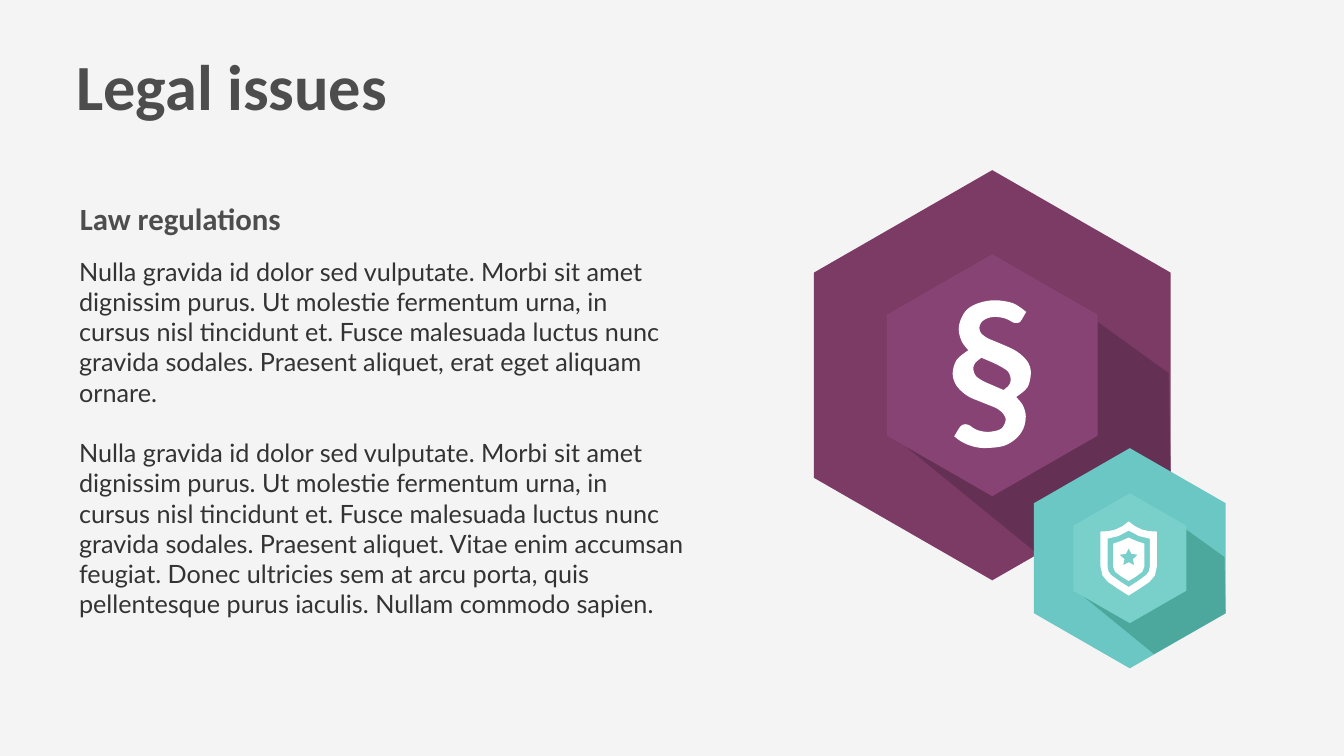
from dataclasses import dataclass

from pptx import Presentation
from pptx.dml.color import RGBColor as Rgb
from pptx.enum.text import MSO_ANCHOR as Anchor
from pptx.util import Pt


@dataclass(frozen=True)
class Theme:
    """Colours and type sizes of the slide."""
    background: str = "F4F4F4"
    heading: str = "4D4D4D"
    body: str = "333333"
    symbol: str = "FFFFFF"
    law_badge: tuple = ("7B3B65", "643053", "874374")
    shield_badge: tuple = ("6BC7C3", "4CA79C", "79D0CB")
    title_size: int = 92
    subtitle_size: int = 44
    body_size: int = 36


THEME = Theme()

TITLE = "Legal issues"
SUBTITLE = "Law regulations"
OPENING = ("Nulla gravida id dolor sed vulputate. Morbi sit amet dignissim purus. "
           "Ut molestie fermentum urna, in cursus nisl tincidunt et. "
           "Fusce malesuada luctus nunc gravida sodales. ")
BODY = [
    OPENING + "Praesent aliquet, erat eget aliquam ornare.",
    OPENING + "Praesent aliquet. Vitae enim accumsan feugiat. Donec ultricies sem at "
    "arcu porta, quis pellentesque purus iaculis. Nullam commodo sapien.",
]

HEXAGON = [(0, -1), (0.87, -0.5), (0.87, 0.5), (0, 1), (-0.87, 0.5), (-0.87, -0.5)]
LONG_SHADOW = [(0.5, -0.27), (0.86, -0.01), (0.87, 0.5), (0.22, 0.87),
               (-0.48, 0.3), (-0.01, 0.58), (0.5, 0.28)]

SECTION_RIM = [
    [(97.9, 28.8), (95, 31.7), (91.4, 32.4), (86.4, 31.7), (79.9, 28.1), (72, 25.2),
     (60.5, 23.8), (51.1, 25.2), (43.9, 28.8), (39.6, 33.8), (38.2, 40.3), (41, 47.5),
     (49.7, 54), (61.2, 59), (74.9, 64.8), (88.6, 71.3), (100.1, 79.9),
     (108.7, 90.7), (111.6, 105.1), (106.6, 124.6), (90.7, 138.2)],
    [(90.7, 138.2), (100.1, 149.8), (104.4, 165.6), (100.8, 183.6), (90, 198),
     (72.7, 208.1), (49.7, 211), (35.3, 210.2), (22.3, 206.6), (10.8, 200.9),
     (2.2, 194.4)],
    [(9.4, 182.2), (13, 178.6), (18, 177.1), (23.8, 178.6), (30.2, 182.9),
     (38.9, 186.5), (52.6, 187.9), (69.1, 183.6), (75.6, 171.4), (72, 162),
     (63.4, 154.8), (51.8, 149.8), (37.4, 144), (23.8, 138.2), (12.2, 129.6),
     (3.6, 118.8), (0, 103.7), (5.8, 85), (22.3, 71.3)],
    [(22.3, 71.3), (13, 59), (8.6, 41.8), (12.2, 25.9), (21.6, 12.2), (38.2, 3.6),
     (60.5, 0), (86.4, 4.3), (105.1, 16.6)],
]
SECTION_EYE = [
    [(41, 82.1), (32.4, 89.3), (29.5, 97.9), (33.1, 108), (43.2, 115.2),
     (57.6, 121.7), (72.7, 128.2)],
    [(72.7, 128.2), (80.6, 121), (82.8, 112.3), (79.2, 102.2), (69.1, 95),
     (56.2, 88.6), (41, 82.1)],
]

SHIELD_RIM = [(0, 0), (9, 6.8), (19.6, 11.8), (29, 13.8), (40.3, 14.4), (40.3, 64.1),
              (37.5, 77), (29.7, 86.3), (17, 95), (0, 105.8)]
SHIELD_GAP = [(0, 13), (14.9, 20.9), (30.2, 24.5), (30.2, 64.1), (29, 71),
              (25.2, 76.3), (13.3, 85), (0, 93.6)]
SHIELD_CORE = [(0, 23), (11.5, 28.1), (22.3, 31.7), (22.3, 64.8), (19.4, 72),
               (10, 79), (0, 85)]
STAR = [(0, 38.2), (4, 46.1), (13, 47.5), (6.1, 54), (7.9, 62.6), (0, 58.3)]


def assign(target, **formats):
    """Set each named format value on the target."""
    for name, value in formats.items():
        setattr(target, name, value)


def smooth(run, steps=4):
    """Return a dense curve through the points of a run."""
    padded = [run[0], *run, run[-1]]
    curve = [run[0]]
    for a, b, c, d in zip(padded, padded[1:], padded[2:], padded[3:]):
        for step in range(1, steps + 1):
            t = step / steps
            curve.append(tuple(
                q + t * ((r - p) + t * ((2 * p - 5 * q + 4 * r - s)
                                        + t * (3 * q - p - 3 * r + s))) / 2
                for p, q, r, s in zip(a, b, c, d)))
    return curve


def contour(runs):
    """Join smoothed runs into one closed contour."""
    return [point for run in runs for point in smooth(run)]


def mirrored(half):
    """Close a right half outline with its mirror image."""
    return half + [(-x, y) for x, y in half[-2:0:-1]]


def add_outline(slide, origin, contours, color, scale=1):
    """Draw closed contours around an origin as one filled shape."""
    left, top = origin
    placed = [[(Pt(left + x * scale), Pt(top + y * scale)) for x, y in points]
              for points in contours]
    builder = slide.shapes.build_freeform(*placed[0][0])
    builder.add_line_segments(placed[0][1:])
    for points in placed[1:]:
        builder.move_to(*points[0])
        builder.add_line_segments(points[1:])
    outline = builder.convert_to_shape()
    outline.shadow.inherit = False
    outline.fill.solid()
    outline.fill.fore_color.rgb = Rgb.from_string(color)
    outline.line.fill.background()


def add_badge(slide, center, radius, colors):
    """Draw a hexagon with a long shadow and a smaller hexagon on it."""
    base, shadow, face = colors
    add_outline(slide, center, [HEXAGON], base, radius)
    add_outline(slide, center, [LONG_SHADOW], shadow, radius)
    add_outline(slide, center, [HEXAGON], face, radius * 0.59)


def add_text(slide, box, paragraphs, size, color, font="Calibri", bold=False,
             inset=4, anchor=Anchor.MIDDLE):
    """Add wrapped text with one line of space between paragraphs."""
    frame = slide.shapes.add_textbox(*map(Pt, box)).text_frame
    margins = {f"margin_{side}": Pt(inset) for side in ("left", "top", "right", "bottom")}
    assign(frame, word_wrap=True, vertical_anchor=anchor, **margins)
    for index, wording in enumerate(paragraphs):
        paragraph = frame.add_paragraph() if index else frame.paragraphs[0]
        if index:
            paragraph.space_before = Pt(size * 1.2)
        run = paragraph.add_run()
        run.text = wording
        assign(run.font, name=font, size=Pt(size), bold=bold)
        run.font.color.rgb = Rgb.from_string(color)


def main():
    """Build and save the slide."""
    deck = Presentation()
    assign(deck, slide_width=Pt(1920), slide_height=Pt(1080))
    slide = deck.slides.add_slide(deck.slide_layouts[6])
    slide.background.fill.solid()
    slide.background.fill.fore_color.rgb = Rgb.from_string(THEME.background)

    add_badge(slide, (1417.5, 536), 293, THEME.law_badge)
    add_badge(slide, (1614, 797.5), 157.3, THEME.shield_badge)

    add_text(slide, (109, 66, 1003, 119), [TITLE], THEME.title_size, THEME.heading,
             bold=True, inset=0, anchor=Anchor.TOP)
    add_text(slide, (110, 282, 480, 60), [SUBTITLE], THEME.subtitle_size,
             THEME.heading, bold=True)
    add_text(slide, (109, 379, 873, 492), BODY, THEME.body_size, THEME.body, font="Lato")

    add_outline(slide, (1361, 429), [contour(SECTION_RIM), contour(SECTION_EYE)],
                THEME.symbol)
    for halves in ([SHIELD_RIM, SHIELD_GAP], [SHIELD_CORE, STAR]):
        add_outline(slide, (1612.4, 745), [mirrored(half) for half in halves],
                    THEME.symbol)

    deck.save("out.pptx")


if __name__ == "__main__":
    main()
